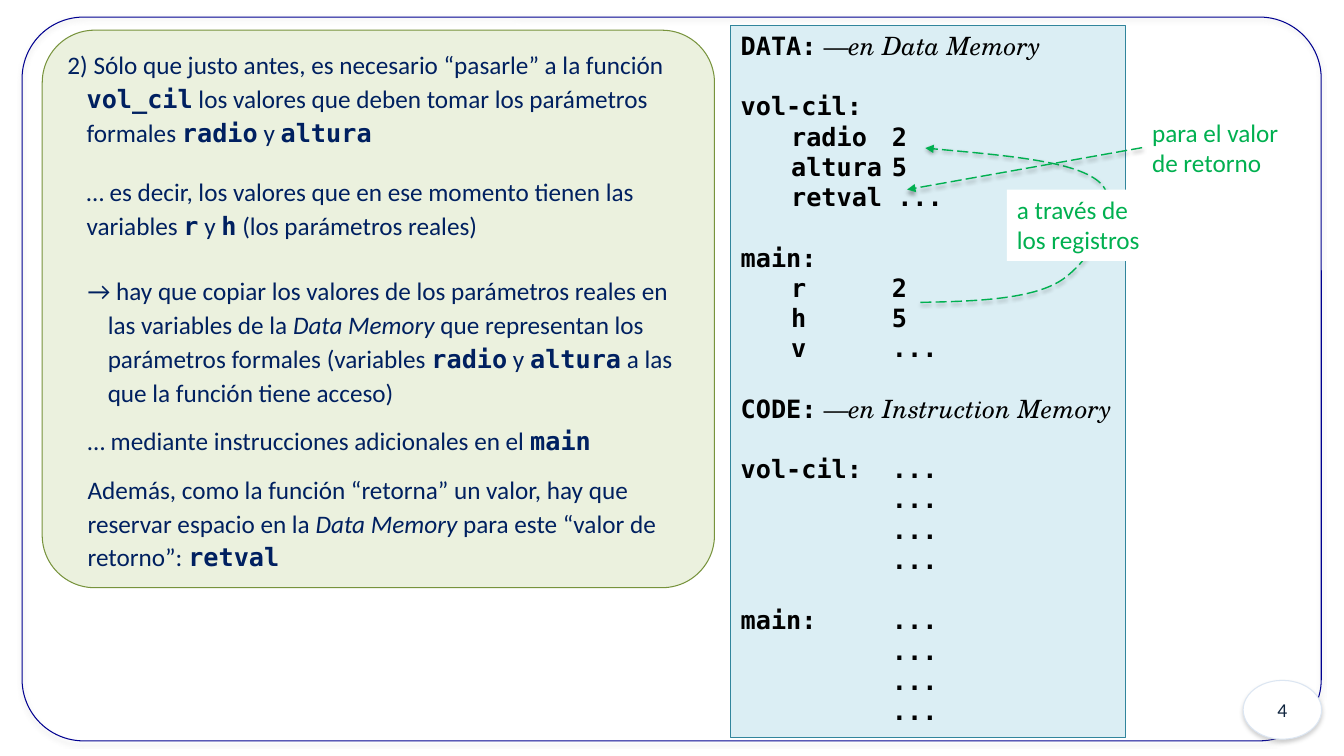
from dataclasses import dataclass

from lxml import etree
from pptx import Presentation
from pptx.dml.color import RGBColor
from pptx.enum import dml, shapes, text
from pptx.oxml import ns
from pptx.util import Pt


@dataclass(frozen=True)
class Theme:
    navy: str = "002060"
    number: str = "10253F"
    black: str = "000000"
    white: str = "FFFFFF"
    frame: str = "000090"
    badge_edge: str = "DCE6F2"
    note_fill: str = "EBF1DE"
    note_edge: str = "77933C"
    memory_fill: str = "DBEEF4"
    memory_edge: str = "31859C"
    green: str = "00B050"
    grey: str = "808080"
    prose: str = "Calibri"
    mono: str = "DejaVu Sans Mono"
    serif: str = "TeX Gyre Schola"
    body: float = 18
    small: float = 14
    edge: float = 0.75
    arrow: float = 1


THEME = Theme()


@dataclass(frozen=True)
class Span:
    words: str
    face: str = THEME.prose
    bold: bool = False
    italic: bool = False


@dataclass(frozen=True)
class Para:
    spans: tuple[Span, ...]
    color: str
    before: float = 0
    line: float | None = None
    margin: float = 0
    indent: float = 0
    tabs: tuple[float, ...] = ()
    size: float = THEME.body
    align: text.PP_ALIGN = text.PP_ALIGN.LEFT


@dataclass(frozen=True)
class Panel:
    preset: shapes.MSO_SHAPE
    box: tuple[float, float, float, float]
    paras: tuple[Para, ...] = ()
    fill: str | None = None
    edge: str | None = None
    corner: float | None = None
    anchor: text.MSO_ANCHOR = text.MSO_ANCHOR.MIDDLE
    shadow: bool = False
    wrap: bool = True


def code(words: str) -> Span:
    return Span(words, THEME.mono, bold=True)


def emph(words: str) -> Span:
    return Span(words, italic=True)


def note(*spans: Span, before: float, margin: float, indent: float = 0) -> Para:
    return Para(spans, THEME.navy, before, 1.12, margin, indent)


def listing(*blocks: tuple[str, ...]) -> tuple[Para, ...]:
    """Memory listing: blocks one line apart; ' —' starts a serif remark."""
    paras = []
    for number, block in enumerate(blocks):
        for row, line in enumerate(block):
            words, dash, remark = line.partition(" —")
            spans = [code(words)]
            if dash:
                spans += [Span(dash, THEME.serif), Span(remark, THEME.serif, italic=True)]
            gap = 21.6 if number and not row else 0
            paras.append(Para(tuple(spans), THEME.black, gap, tabs=(36, 72, 108)))
    return tuple(paras)


def add_effects(shape, color: str | None = None, alpha: int = 35) -> None:
    """Give the shape a soft downward shadow, or none without a colour."""
    effects = etree.SubElement(shape._element.spPr, ns.qn("a:effectLst"))
    if color:
        outer = etree.SubElement(effects, ns.qn("a:outerShdw"), blurRad=str(Pt(3.1)),
                                 dist=str(Pt(1.8)), dir="5400000", rotWithShape="0")
        rgb = etree.SubElement(outer, ns.qn("a:srgbClr"), val=color)
        etree.SubElement(rgb, ns.qn("a:alpha"), val=str(alpha * 1000))


def write(frame, paras: tuple[Para, ...]) -> None:
    for number, para in enumerate(paras):
        paragraph = frame.add_paragraph() if number else frame.paragraphs[0]
        paragraph.alignment = para.align
        paragraph.space_before = Pt(para.before)
        if para.line:
            paragraph.line_spacing = para.line
        props = paragraph._p.get_or_add_pPr()
        props.set("marL", str(Pt(para.margin)))
        props.set("indent", str(Pt(para.indent)))
        if para.tabs:
            stops = etree.SubElement(props, ns.qn("a:tabLst"))
            for stop in para.tabs:
                etree.SubElement(stops, ns.qn("a:tab"), pos=str(Pt(stop)), algn="l")
        paragraph.font.size = Pt(para.size)
        paragraph.font.color.rgb = RGBColor.from_string(para.color)
        agreed = len(para.spans) == 1
        for span in para.spans:
            run = paragraph.add_run()
            run.text = span.words
            font = paragraph.font if agreed else run.font
            font.name, font.bold, font.italic = span.face, span.bold, span.italic


def draw_panel(slide, panel: Panel):
    shape = slide.shapes.add_shape(panel.preset, *map(Pt, panel.box))
    if panel.corner is not None:
        shape.adjustments[0] = panel.corner
    if panel.fill:
        shape.fill.solid()
        shape.fill.fore_color.rgb = RGBColor.from_string(panel.fill)
    else:
        shape.fill.background()
    if panel.edge:
        shape.line.color.rgb = RGBColor.from_string(panel.edge)
        shape.line.width = Pt(THEME.edge)
    else:
        shape.line.fill.background()
    add_effects(shape, THEME.grey if panel.shadow else None)
    shape.text_frame.word_wrap = panel.wrap
    shape.text_frame.vertical_anchor = panel.anchor
    write(shape.text_frame, panel.paras)
    return shape


def style_arrow(arrow, alpha: int) -> None:
    arrow.line.color.rgb = RGBColor.from_string(THEME.green)
    arrow.line.width = Pt(THEME.arrow)
    arrow.line.dash_style = dml.MSO_LINE.LONG_DASH
    etree.SubElement(arrow.line._get_or_add_ln(), ns.qn("a:tailEnd"), type="triangle")
    add_effects(arrow, THEME.black, alpha)


def draw_curve(slide, points: list[tuple[float, float]], width: float) -> None:
    """Arrow along cubic Béziers; width is that of the curve itself."""
    (x, y), *rest = [(Pt(a), Pt(b)) for a, b in points]
    builder = slide.shapes.build_freeform(x, y)
    builder.add_line_segments(rest, close=False)
    curve = builder.convert_to_shape()
    outline = curve._element.find(".//" + ns.qn("a:path"))
    steps = outline.findall(ns.qn("a:lnTo"))
    for first in range(0, len(steps), 3):
        bezier = etree.SubElement(outline, ns.qn("a:cubicBezTo"))
        for step in steps[first:first + 3]:
            bezier.append(step[0])
            outline.remove(step)
    curve.width = Pt(width)
    outline.set("w", str(Pt(width)))
    curve.fill.background()
    style_arrow(curve, 35)


def label(box: tuple[float, float, float, float], *lines: str, wrap: bool = True) -> Panel:
    paras = tuple(Para((Span(line),), THEME.green) for line in lines)
    return Panel(shapes.MSO_SHAPE.RECTANGLE, box, paras, THEME.white,
                 anchor=text.MSO_ANCHOR.TOP, wrap=wrap)


EXPLANATION = (
    note(Span("2) Sólo que justo antes, es necesario “pasarle” a la función "), code("vol_cil"),
         Span(" los valores que deben tomar los parámetros formales "), code("radio"),
         Span(" y "), code("altura"), before=18, margin=13.7, indent=-13.7),
    note(Span("… es decir, los valores que en ese momento tienen las variables "), code("r"),
         Span(" y "), code("h"), Span(" (los parámetros reales)"), before=18, margin=13.7),
    note(Span("→ hay que copiar los valores de los parámetros reales en las variables de la "),
         emph("Data Memory"), Span(" que representan los parámetros formales (variables "),
         code("radio"), Span(" y "), code("altura"),
         Span(" a las que la función tiene acceso)"), before=22.5, margin=28.8, indent=-14.4),
    note(Span("… mediante instrucciones adicionales en el "), code("main"),
         before=10.5, margin=14.4),
    note(Span("Además, como la función “retorna” un valor, hay que reservar espacio en la "),
         emph("Data Memory"), Span(" para este “valor de retorno”: "), code("retval"),
         before=10.5, margin=14.4),
)
MEMORY = listing(
    ("DATA: —en Data Memory",),
    ("vol-cil:", "\tradio\t2", "\taltura\t5", "\tretval ..."),
    ("main:", "\tr\t\t2", "\th\t\t5", "\tv\t\t..."),
    ("CODE: —en Instruction Memory",),
    *((name + "...", *["\t\t\t..."] * 3) for name in ("vol-cil:\t", "main:\t\t")),
)
PAGE = (Para((Span("4"),), THEME.number, size=THEME.small, align=text.PP_ALIGN.CENTER),)
ROUNDED = shapes.MSO_SHAPE.ROUNDED_RECTANGLE
PANELS = (
    Panel(ROUNDED, (15.8, 12.2, 928, 517), edge=THEME.frame, corner=0.085, shadow=True),
    Panel(shapes.MSO_SHAPE.OVAL, (888, 486, 56, 42), PAGE, THEME.white, THEME.badge_edge,
          shadow=True),
    Panel(ROUNDED, (30.2, 21.6, 480.2, 398.2), EXPLANATION, THEME.note_fill,
          THEME.note_edge, 0.094),
    Panel(shapes.MSO_SHAPE.RECTANGLE, (522, 18, 282.2, 509), MEMORY, THEME.memory_fill,
          THEME.memory_edge, anchor=text.MSO_ANCHOR.TOP),
)
REGISTERS = label((719.3, 135.4, 103, 51), "a través de", "los registros", wrap=False)
RETURN = label((815.8, 80, 113.8, 51), "para el valor de retorno")
COPY_ROUTE = [(657.4, 216), (697, 215.3), (737.3, 213.8), (758.2, 200.2), (779.8, 185.8),
              (802.8, 146.9), (786.2, 131), (770.4, 115.2), (715.7, 110.9), (661, 105.8)]


def main() -> None:
    deck = Presentation()
    deck.slide_width, deck.slide_height = Pt(960), Pt(540)
    slide = deck.slides.add_slide(deck.slide_layouts[6])
    for panel in PANELS:
        draw_panel(slide, panel)
    draw_curve(slide, COPY_ROUTE, 134.6)
    draw_panel(slide, REGISTERS)
    return_label = draw_panel(slide, RETURN)
    to_retval = slide.shapes.add_connector(
        shapes.MSO_CONNECTOR.STRAIGHT, Pt(815.8), Pt(105.5), Pt(648), Pt(135.4))
    to_retval.begin_connect(return_label, 1)
    style_arrow(to_retval, 38)
    deck.save("out.pptx")


if __name__ == "__main__":
    main()
